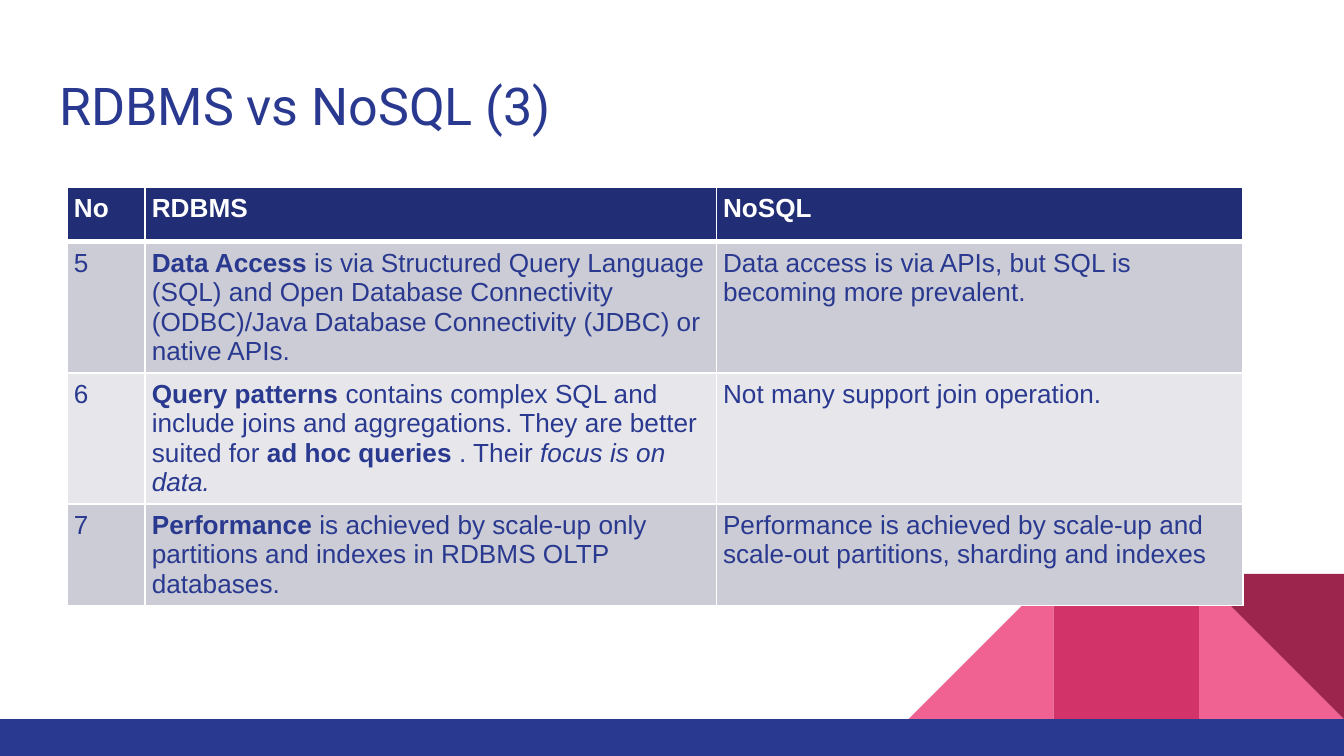
import pptx
import pptx.dml.color
import pptx.enum.shapes
import pptx.enum.text
import pptx.oxml
import pptx.oxml.ns
import pptx.util
from dataclasses import dataclass

Inches = pptx.util.Inches
Pt = pptx.util.Pt
RGB = pptx.dml.color.RGBColor.from_string


@dataclass(frozen=True)
class Theme:
    blue: str = "2A3990"
    header: str = "212D74"
    band_dark: str = "CBCCD5"
    band_light: str = "E7E7EB"
    white: str = "FFFFFF"
    pink: str = "F06292"
    rose: str = "D23369"
    wine: str = "9C254D"
    title_font: str = "Roboto"
    body_font: str = "Arial"
    title_size: float = 27.9
    body_size: float = 14


THEME = Theme()
WIDTH = 10
HEIGHT = WIDTH * 9 / 16

BOLD, ITALIC = {"bold": True}, {"italic": True}

HEADINGS = ["No", "RDBMS", "NoSQL"]
# Each cell is a list of (text, format) runs
ROWS = [
    [
        [("5", {})],
        [("Data Access ", BOLD),
         ("is via Structured Query Language (SQL) and Open Database Connectivity "
          "(ODBC)/Java Database Connectivity (JDBC) or native APIs.", {})],
        [("Data access is via APIs, but SQL is becoming more prevalent.", {})],
    ],
    [
        [("6", {})],
        [("Query patterns ", BOLD),
         ("contains complex SQL and include joins and aggregations. "
          "They are better suited for ", {}),
         ("ad hoc queries ", BOLD),
         (". Their ", {}),
         ("focus is on data.", ITALIC)],
        [("Not many support join operation.", {})],
    ],
    [
        [("7", {})],
        [("Performance ", BOLD),
         ("is achieved by scale-up only partitions and indexes in RDBMS OLTP "
          "databases.", {})],
        [("Performance is achieved by scale-up and scale-out partitions, "
          "sharding and indexes", {})],
    ],
]


def set_attrs(obj, values):
    for name, value in values.items():
        setattr(obj, name, value)


def add_run(p, text, font, size, color, extra=None):
    r = p.add_run()
    r.text = text
    base = {"name": font, "size": Pt(size), "bold": False, "italic": False}
    set_attrs(r.font, {**base, **(extra or {})})
    r.font.color.rgb = RGB(color)


def paint(sp, color):
    sp.fill.solid()
    sp.fill.fore_color.rgb = RGB(color)
    sp.line.fill.background()
    sp.shadow.inherit = False


def add_rect(s, x, y, w, h, color):
    rect = pptx.enum.shapes.MSO_SHAPE.RECTANGLE
    paint(s.shapes.add_shape(rect, Inches(x), Inches(y), Inches(w), Inches(h)), color)


def add_triangle(s, points, color):
    start, *others = [(Inches(x), Inches(y)) for x, y in points]
    fb = s.shapes.build_freeform(*start)
    fb.add_line_segments(others, close=True)
    paint(fb.convert_to_shape(), color)


def add_decoration(s):
    side, bottom = 1.08, 5.35
    top = bottom - side
    right = WIDTH - side
    middle = right - side
    left = middle - side
    add_triangle(s, [(right, bottom), (WIDTH, bottom), (right, top)], THEME.pink)
    add_triangle(s, [(middle, bottom), (left, bottom), (middle, top)], THEME.pink)
    add_rect(s, middle, top, side, side, THEME.rose)
    add_triangle(s, [(WIDTH, top), (right, top), (WIDTH, bottom)], THEME.wine)
    add_rect(s, 0, bottom, WIDTH, HEIGHT - bottom, THEME.blue)


def set_title(s, text):
    sp = s.shapes.title
    set_attrs(sp, {"left": Inches(0.34), "top": Inches(0.45),
                   "width": Inches(9.32), "height": Inches(0.66)})
    tf = sp.text_frame
    sides = ("left", "right", "top", "bottom")
    set_attrs(tf, {f"margin_{side}": Inches(0.1) for side in sides})
    set_attrs(tf, {"word_wrap": True,
                   "auto_size": pptx.enum.text.MSO_AUTO_SIZE.NONE,
                   "vertical_anchor": pptx.enum.text.MSO_ANCHOR.TOP})
    p = tf.paragraphs[0]
    p.alignment = pptx.enum.text.PP_ALIGN.LEFT
    add_run(p, text, THEME.title_font, THEME.title_size, THEME.blue)


def set_borders(cell, widths):
    tc_pr = cell._tc.get_or_add_tcPr()
    for i, (side, width) in enumerate(widths.items()):
        tc_pr.insert(i, pptx.oxml.parse_xml(
            f'<a:ln{side} {pptx.oxml.ns.nsdecls("a")} w="{Pt(width)}"><a:solidFill>'
            f'<a:srgbClr val="{THEME.white}"/></a:solidFill></a:ln{side}>'))


def fill_cell(cell, runs, fill, color, borders):
    sides = ("left", "right", "top", "bottom")
    set_attrs(cell, {f"margin_{side}": Inches(0.05) for side in sides})
    cell.fill.solid()
    cell.fill.fore_color.rgb = RGB(fill)
    set_borders(cell, borders)
    for text, extra in runs:
        add_run(cell.text_frame.paragraphs[0], text, THEME.body_font,
                THEME.body_size, color, extra)


def add_comparison(s):
    widths, row_height = [0.58, 4.25, 3.92], 0.41
    content = [[[(text, BOLD)] for text in HEADINGS]] + ROWS
    table = s.shapes.add_table(
        len(content), len(widths), Inches(0.5), Inches(1.39),
        Inches(sum(widths)), Inches(row_height * len(content))).table
    for column, width in zip(table.columns, widths):
        column.width = Inches(width)
    for i, row in enumerate(content):
        band = THEME.band_dark if i % 2 else THEME.band_light
        fill, color = (band, THEME.blue) if i else (THEME.header, THEME.white)
        # A thick rule separates the header from the body
        borders = {"L": 1, "R": 1, "T": 3 if i == 1 else 1, "B": 1 if i else 3}
        for j, runs in enumerate(row):
            fill_cell(table.cell(i, j), runs, fill, color, borders)


def main():
    prs = pptx.Presentation()
    set_attrs(prs, {"slide_width": Inches(WIDTH), "slide_height": Inches(HEIGHT)})
    s = prs.slides.add_slide(prs.slide_layouts.get_by_name("Title Only"))
    add_decoration(s)
    set_title(s, "RDBMS vs NoSQL (3)")
    add_comparison(s)
    prs.save("out.pptx")


if __name__ == "__main__":
    main()
